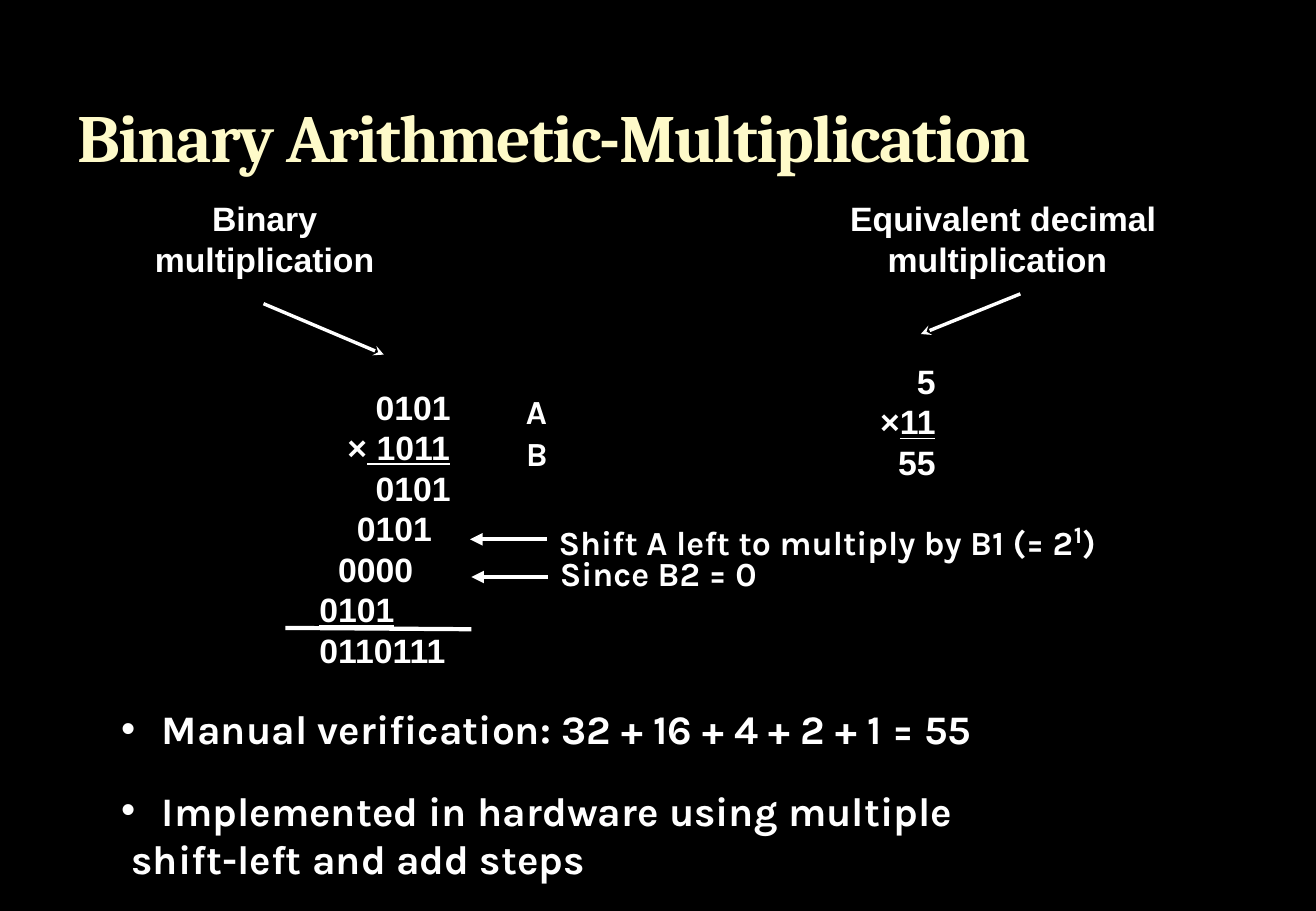
import dataclasses

import lxml.etree
import pptx
import pptx.dml.color
import pptx.enum.shapes
import pptx.enum.text
import pptx.oxml.ns
import pptx.slide
import pptx.text.text
import pptx.util

Pt = pptx.util.Pt
RGBColor = pptx.dml.color.RGBColor
Align = pptx.enum.text.PP_ALIGN
qn = pptx.oxml.ns.qn

BLACK = RGBColor(0x00, 0x00, 0x00)
WHITE = RGBColor(0xFF, 0xFF, 0xFF)
CREAM = RGBColor(0xFE, 0xFA, 0xC9)
OLIVE = RGBColor(0x3C, 0x44, 0x22)

HALF_DIGIT = 5.56
BULLET_HANG = 18


@dataclasses.dataclass(frozen=True)
class Piece:
    text: str
    underline: bool = False
    superscript: bool = False


@dataclasses.dataclass(frozen=True)
class Row:
    pieces: tuple[Piece, ...]
    half_digits: int = 0
    bullet: bool = False


@dataclasses.dataclass(frozen=True)
class Block:
    left: float
    top: float
    width: float
    height: float
    rows: tuple[Row, ...]
    font: str = "Arial"
    size: float = 20
    align: Align = Align.LEFT


@dataclasses.dataclass(frozen=True)
class Stroke:
    start: tuple[float, float]
    end: tuple[float, float]
    weight: float
    head: str = ""


def plain(text: str, half_digits: int = 0, bullet: bool = False) -> Row:
    return Row((Piece(text),), half_digits, bullet)


def note(left: float, top: float, width: float, *pieces: Piece) -> Block:
    return Block(left, top, width, 31, (Row(pieces),), "Karla")


def point(top: float, height: float, *rows: Row) -> Block:
    return Block(64.8, top, 689, height, rows, "Karla", 24)


BLOCKS = (
    Block(503, 210.2, 58.6, 80, (
        plain("5"),
        Row((Piece("×"), Piece("11", underline=True))),
        plain("55"),
    ), align=Align.RIGHT),
    Block(496.8, 113.8, 215, 55.4, (
        plain("Equivalent decimal"),
        plain("multiplication", 4),
    )),
    Block(143.3, 225.4, 140, 178.6, (
        plain("0101", 13),
        Row((Piece("×"), Piece(" 1011", underline=True)), 10),
        plain("0101", 13),
        plain("0101", 11),
        plain("0000", 9),
        Row((Piece("0101", underline=True),), 7),
        plain("0110111", 7),
    )),
    Block(84.2, 113.8, 145.4, 55.4, (
        plain("Binary"),
        plain("multiplication"),
    ), align=Align.CENTER),
    point(414, 36, plain(" Manual verification: 32 + 16 + 4 + 2 + 1 = 55", bullet=True)),
    point(462.2, 65.5,
          plain(" Implemented in hardware using multiple", bullet=True),
          plain(" shift-left and add steps")),
    note(304.6, 228.2, 32.4, Piece("A")),
    note(304.6, 252.7, 32.4, Piece("B")),
    note(324, 301.7, 423, Piece("Shift A left to multiply by B1 (= 2"),
         Piece("1", superscript=True), Piece(")")),
    note(324.7, 324, 156, Piece("Since B2 = 0")),
)

STROKES = (
    Stroke((156.2, 180), (227.5, 210.2), 2, "stealth"),
    Stroke((604.8, 174.2), (545.8, 198), 2, "stealth"),
    Stroke((324, 319.7), (278.6, 319.7), 2.5, "triangle"),
    Stroke((324.7, 342), (279.4, 342), 2.5, "triangle"),
    Stroke((279.4, 373), (169.2, 372.2), 2.5),
)


def format_run(run: pptx.text.text._Run, font: str, size: float, color: RGBColor) -> None:
    run.font.name = font
    run.font.size = Pt(size)
    run.font.bold = True
    run.font.color.rgb = color


def write_row(paragraph: pptx.text.text._Paragraph, row: Row, block: Block) -> None:
    paragraph.alignment = block.align
    for piece in row.pieces:
        run = paragraph.add_run()
        run.text = piece.text
        format_run(run, block.font, 24 if piece.superscript else block.size, WHITE)
        if piece.underline:
            run.font.underline = True
        if piece.superscript:
            run._r.get_or_add_rPr().set("baseline", "30000")
    properties = paragraph._p.get_or_add_pPr()
    hang = BULLET_HANG if row.bullet else 0
    properties.set("marL", str(int(Pt(row.half_digits * HALF_DIGIT + hang))))
    properties.set("indent", str(-int(Pt(hang))))
    if row.bullet:
        lxml.etree.SubElement(properties, qn("a:buFont")).set("typeface", "Arial")
        lxml.etree.SubElement(properties, qn("a:buChar")).set("char", "•")


def draw_block(slide: pptx.slide.Slide, block: Block) -> None:
    box = slide.shapes.add_textbox(
        Pt(block.left), Pt(block.top), Pt(block.width), Pt(block.height))
    frame = box.text_frame
    frame.word_wrap = True
    for index, row in enumerate(block.rows):
        paragraph = frame.add_paragraph() if index else frame.paragraphs[0]
        write_row(paragraph, row, block)


def draw_stroke(slide: pptx.slide.Slide, stroke: Stroke) -> None:
    line = slide.shapes.add_connector(
        pptx.enum.shapes.MSO_CONNECTOR.STRAIGHT,
        *(Pt(value) for value in stroke.start + stroke.end))
    line.line.color.rgb = WHITE
    line.line.width = Pt(stroke.weight)
    if stroke.head:
        outline = line.line._get_or_add_ln()
        lxml.etree.SubElement(outline, qn("a:tailEnd")).set("type", stroke.head)
    lxml.etree.SubElement(line._element.spPr, qn("a:effectLst"))


def draw_title(slide: pptx.slide.Slide) -> None:
    title = slide.shapes.title
    title.left, title.top, title.width, title.height = Pt(38.9), Pt(12.2), Pt(702), Pt(95.8)
    frame = title.text_frame
    frame.text = "Binary Arithmetic-Multiplication"
    frame.word_wrap = True
    frame.auto_size = pptx.enum.text.MSO_AUTO_SIZE.NONE
    frame.vertical_anchor = pptx.enum.text.MSO_ANCHOR.BOTTOM
    frame.paragraphs[0].alignment = Align.LEFT
    run = frame.paragraphs[0].runs[0]
    format_run(run, "Cambria", 40, CREAM)
    properties = run._r.get_or_add_rPr()
    properties.set("spc", "-100")
    outline = lxml.etree.Element(qn("a:ln"), w=str(int(Pt(0.25))))
    fill = lxml.etree.SubElement(outline, qn("a:solidFill"))
    color = lxml.etree.SubElement(fill, qn("a:srgbClr"), val=str(OLIVE))
    lxml.etree.SubElement(color, qn("a:alpha"), val="25000")
    properties.insert(0, outline)


def main() -> None:
    deck = pptx.Presentation()
    deck.slide_width, deck.slide_height = Pt(780), Pt(540)
    slide = deck.slides.add_slide(deck.slide_layouts[5])
    slide.background.fill.solid()
    slide.background.fill.fore_color.rgb = BLACK
    draw_title(slide)
    for block in BLOCKS:
        draw_block(slide, block)
    for stroke in STROKES:
        draw_stroke(slide, stroke)
    deck.save("out.pptx")


if __name__ == "__main__":
    main()
